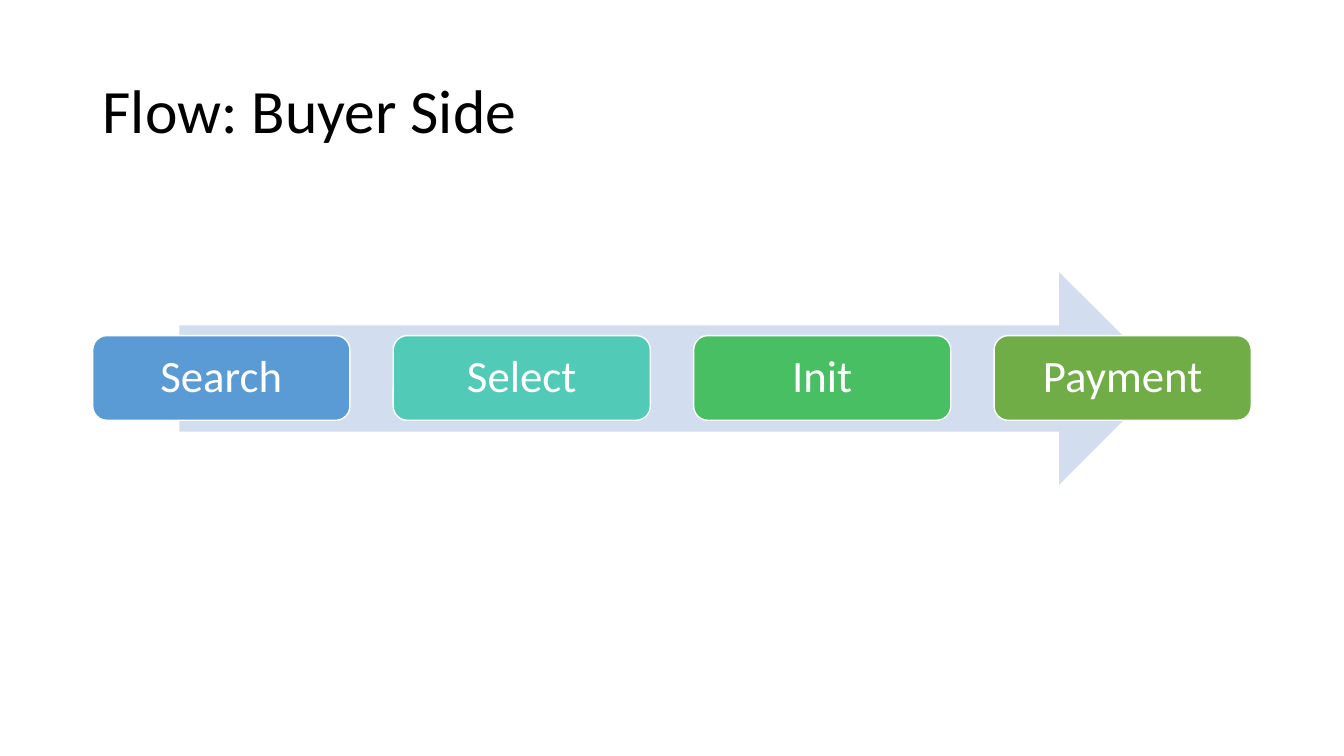
import pptx
import pptx.dml.color
import pptx.enum.shapes
import pptx.enum.text
import pptx.util

Inches = pptx.util.Inches
Pt = pptx.util.Pt
RGBColor = pptx.dml.color.RGBColor
Shape = pptx.enum.shapes.MSO_SHAPE
Align = pptx.enum.text.PP_ALIGN

BLACK = RGBColor(0x00, 0x00, 0x00)
WHITE = RGBColor(0xFF, 0xFF, 0xFF)
PALE_BLUE = RGBColor(0xD2, 0xDE, 0xEF)
BLUE = RGBColor(0x5B, 0x9B, 0xD5)
TEAL = RGBColor(0x52, 0xCA, 0xB8)
EMERALD = RGBColor(0x49, 0xBF, 0x64)
GREEN = RGBColor(0x70, 0xAD, 0x47)

STEPS = [("Search", BLUE), ("Select", TEAL), ("Init", EMERALD), ("Payment", GREEN)]
STEP_LEFT, STEP_TOP = 0.92, 3.33
STEP_WIDTH, STEP_HEIGHT = 2.55, 0.84
STEP_PITCH = 2.98


def write_text(frame, text, *, size, color, font="Calibri", align=Align.LEFT):
    """Fill a text frame with one vertically centred paragraph."""
    frame.word_wrap = True
    frame.vertical_anchor = pptx.enum.text.MSO_ANCHOR.MIDDLE
    paragraph = frame.paragraphs[0]
    paragraph.alignment = align
    paragraph.line_spacing = 0.9
    run = paragraph.add_run()
    run.text = text
    run.font.name = font
    run.font.size = Pt(size)
    run.font.color.rgb = color


class FlowSlide:
    """Holds the slide and the style of its elements."""

    title_size = 44
    step_size = 32
    outline_width = 1

    def __init__(self, slide):
        self.slide = slide

    def title(self, text, left, top, width, height):
        box = self.slide.shapes.add_textbox(*map(Inches, (left, top, width, height)))
        write_text(box.text_frame, text, size=self.title_size, color=BLACK)

    def block(self, kind, fill, left, top, width, height):
        shape = self.slide.shapes.add_shape(kind, *map(Inches, (left, top, width, height)))
        shape.shadow.inherit = False
        shape.fill.solid()
        shape.fill.fore_color.rgb = fill
        shape.line.fill.background()
        return shape

    def arrow(self, *place):
        self.block(Shape.RIGHT_ARROW, PALE_BLUE, *place)

    def step(self, label, fill, *place):
        card = self.block(Shape.ROUNDED_RECTANGLE, fill, *place)
        card.line.color.rgb = WHITE
        card.line.width = Pt(self.outline_width)
        write_text(card.text_frame, label, size=self.step_size, color=WHITE,
                   align=Align.CENTER)


def main():
    deck = pptx.Presentation()
    deck.slide_width = Inches(13.33)
    deck.slide_height = Inches(7.5)
    flow = FlowSlide(deck.slides.add_slide(deck.slide_layouts[6]))

    # Heading
    flow.title("Flow: Buyer Side", 0.92, 0.4, 11.5, 1.45)

    # Arrow behind the steps
    flow.arrow(1.78, 2.7, 9.78, 2.11)

    # Evenly spaced steps
    for index, (label, fill) in enumerate(STEPS):
        flow.step(label, fill, STEP_LEFT + index * STEP_PITCH, STEP_TOP,
                  STEP_WIDTH, STEP_HEIGHT)

    deck.save("out.pptx")


if __name__ == "__main__":
    main()
